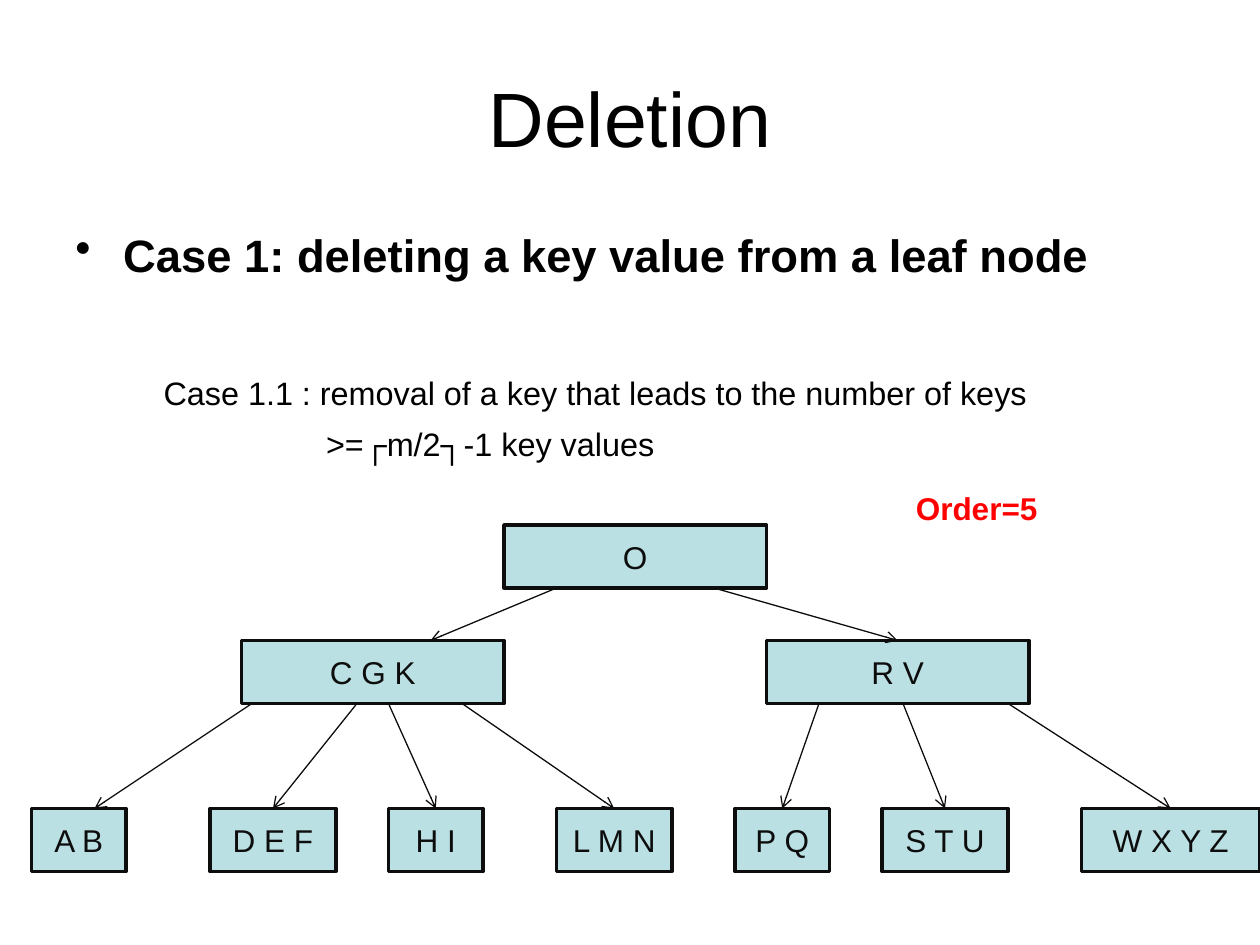
from lxml import etree
from pptx import Presentation
from pptx.dml.color import RGBColor
from pptx.enum.shapes import MSO_CONNECTOR, MSO_SHAPE
from pptx.enum.text import MSO_ANCHOR, PP_ALIGN
from pptx.oxml.ns import qn
from pptx.util import Inches, Pt

RECT, STRAIGHT = MSO_SHAPE.RECTANGLE, MSO_CONNECTOR.STRAIGHT
MIDDLE, TOP = MSO_ANCHOR.MIDDLE, MSO_ANCHOR.TOP
CENTER, LEFT = PP_ALIGN.CENTER, PP_ALIGN.LEFT
BLACK = RGBColor(0, 0, 0)
INK = RGBColor(0x0D, 0x0D, 0x0D)
TEAL = RGBColor(0xBB, 0xE0, 0xE3)
RED = RGBColor(0xFF, 0, 0)

# Content
TITLE = "Deletion"
# text, size, bold, space before (pt), left margin, first-line indent (in), bullet
BODY = [
    ("Case 1: deleting a key value from a leaf node", 25.9, True, 0, 0.38, -0.38, "•"),
    ("Case 1.1 : removal of a key that leads to the number of keys",
     18.5, False, 52.5, 0.7, 0, None),
    (">=┌m/2┐-1 key values", 18.5, False, 7, 1.99, 0, None),
]
ORDER = "Order=5"

# Tree on a grid of 12 units to the inch
UNIT = Inches(1) / 12
NODE_H = 6
ROW_TOPS = [50, 61, 77]
# keys: (row, left, width)
NODES = {
    "O": (0, 48, 25),
    "C G K": (1, 23, 25), "R V": (1, 73, 25),
    "A B": (2, 3, 9), "D E F": (2, 20, 12), "H I": (2, 37, 9), "L M N": (2, 53, 11),
    "P Q": (2, 70, 9), "S T U": (2, 84, 12), "W X Y Z": (2, 103, 17),
}
# parent: (child, start x, shift of the arrowhead from the child's centre)
EDGES = {
    "O": [("C G K", 53, 5.5), ("R V", 68, 0)],
    "C G K": [("A B", 24, 1.5), ("D E F", 34, 0), ("H I", 37, 0), ("L M N", 44, 0)],
    "R V": [("P Q", 78, 0), ("S T U", 86, 0), ("W X Y Z", 96, 0)],
}


def units(*values):
    return [round(v * UNIT) for v in values]


def write(p, text, size, color, bold=False, align=LEFT):
    p.alignment = align
    r = p.add_run()
    r.text = text
    style = {"name": "Arial", "size": Pt(size), "bold": bold}
    for key, value in style.items():
        setattr(r.font, key, value)
    r.font.color.rgb = color


def add_text(s, x, y, w, h, anchor=TOP):
    tf = s.shapes.add_textbox(*map(Inches, (x, y, w, h))).text_frame
    tf.word_wrap = True
    tf.vertical_anchor = anchor
    return tf


def add_body(s):
    tf = add_text(s, 0.5, 1.75, 9, 2.25)
    for i, (text, size, bold, before, margin, indent, bullet) in enumerate(BODY):
        p = tf.paragraphs[0] if i == 0 else tf.add_paragraph()
        pPr = p._p.get_or_add_pPr()
        pPr.set("marL", str(Inches(margin)))
        pPr.set("indent", str(Inches(indent)))
        if bullet:
            etree.SubElement(pPr, qn("a:buChar"), char=bullet)
        if before:
            p.space_before = Pt(before)
        write(p, text, size, BLACK, bold)


def add_node(s, keys, row, left, width):
    sp = s.shapes.add_shape(RECT, *units(left, ROW_TOPS[row], width, NODE_H))
    sp.shadow.inherit = False
    sp.fill.solid()
    sp.fill.fore_color.rgb = TEAL
    sp.line.color.rgb = INK
    sp.line.width = Pt(2)
    tf = sp.text_frame
    tf.vertical_anchor = MIDDLE
    write(tf.paragraphs[0], keys, 18, INK, align=CENTER)


def add_edge(s, parent, child, start, shift):
    row, left, width = NODES[child]
    y1 = ROW_TOPS[NODES[parent][0]] + NODE_H
    end = left + width / 2 + shift
    line = s.shapes.add_connector(STRAIGHT, *units(start, y1, end, ROW_TOPS[row]))
    line.line.color.rgb = INK
    line.line.width = Pt(0.75)
    etree.SubElement(line.line._get_or_add_ln(), qn("a:tailEnd"), type="arrow")
    etree.SubElement(line._element.spPr, qn("a:effectLst"))


def main():
    prs = Presentation()
    prs.slide_width, prs.slide_height = Inches(10), Inches(7.5)
    s = prs.slides.add_slide(prs.slide_layouts[6])

    # Title and text
    tf = add_text(s, 0.5, 0.3, 9, 1.25, MIDDLE)
    write(tf.paragraphs[0], TITLE, 44, BLACK, align=CENTER)
    add_body(s)

    # Tree
    for keys, place in NODES.items():
        add_node(s, keys, *place)
    for parent, edges in EDGES.items():
        for edge in edges:
            add_edge(s, parent, *edge)

    # Order label
    tf = add_text(s, 7.17, 3.83, 2.42, 0.4)
    write(tf.paragraphs[0], ORDER, 18, RED, bold=True)

    prs.save("out.pptx")


if __name__ == "__main__":
    main()
